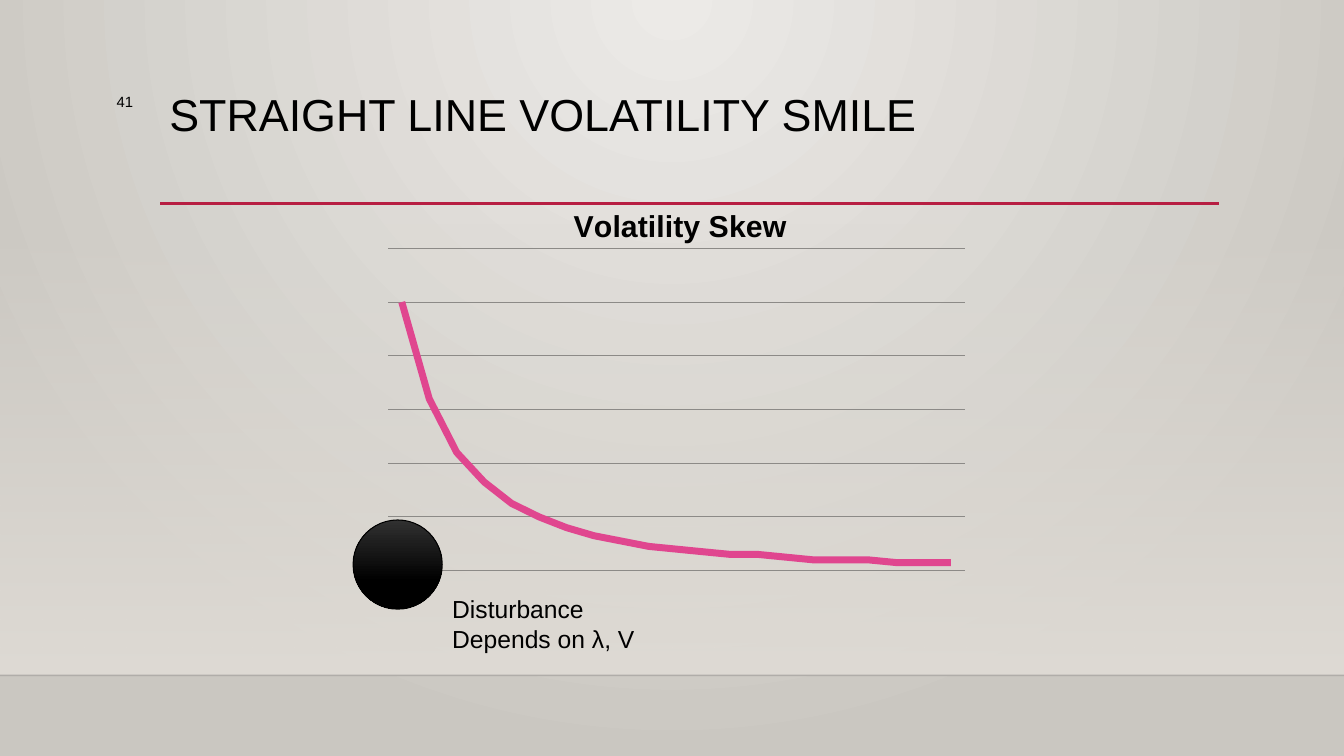
from dataclasses import dataclass

from lxml import etree
from pptx import Presentation
from pptx import util as u
from pptx.chart import data as chart_data
from pptx.dml.color import RGBColor
from pptx.enum import chart as charts, shapes, text
from pptx.oxml import ns, parse_xml

SLIDE_WIDTH, SLIDE_HEIGHT = 960, 540


@dataclass(frozen=True)
class Theme:
    font: str = "Arial"
    ink: str = "000000"
    rule: str = "B71E42"
    curve: str = "E0468F"
    grid: str = "8C8A87"
    floor_line: str = "000001"
    glow: tuple = ((0, "ECEAE7", 100), (100, "CAC7C1", 100))
    wall: tuple = ((0, "DFDBD5", 0), (100, "DFDBD5", 100))
    ball: tuple = ((0, "303030", 100), (69, "000000", 100), (100, "000000", 100))
    title_size: float = 32
    chart_title_size: float = 21.6
    chart_size: float = 18
    label_size: float = 17.6
    number_size: float = 10.6


THEME = Theme()


def points(*lengths):
    return [u.Pt(length) for length in lengths]


def color(value):
    return RGBColor.from_string(value)


def set_gradient(fill, owner, stops, direction):
    """Fill with (position, colour, opacity) stops, all in percent."""
    fill.gradient()
    gradient = owner.find(".//" + ns.qn("a:gradFill"))
    for child in list(gradient):
        gradient.remove(child)
    marks = "".join(
        f'<a:gs pos="{position * 1000}"><a:srgbClr val="{value}">'
        f'<a:alpha val="{opacity * 1000}"/></a:srgbClr></a:gs>'
        for position, value, opacity in stops)
    wrapper = parse_xml(f'<a:gradFill {ns.nsdecls("a")}>'
                        f'<a:gsLst>{marks}</a:gsLst>{direction}</a:gradFill>')
    gradient.extend(list(wrapper))


def add_gradient_shape(page, kind, box, stops):
    shape = page.shapes.add_shape(kind, *points(*box))
    shape.shadow.inherit = False
    set_gradient(shape.fill, shape._element, stops, '<a:lin ang="5400000" scaled="0"/>')
    shape.line.fill.background()
    return shape


def add_rule(page, left, right, top, value, width, opacity=100):
    rule = page.shapes.add_connector(
        shapes.MSO_CONNECTOR.STRAIGHT, *points(left, top, right, top))
    rule.line.color.rgb = color(value)
    rule.line.width = u.Pt(width)
    properties = rule._element.spPr
    etree.SubElement(properties, ns.qn("a:effectLst"))
    if opacity < 100:
        tint = properties.find(".//" + ns.qn("a:srgbClr"))
        etree.SubElement(tint, ns.qn("a:alpha"), val=str(opacity * 1000))


def add_text(page, box, *lines, size, align=text.PP_ALIGN.LEFT, spacing=None,
             wrap=True, insets=(7.2, 3.6)):
    shape = page.shapes.add_textbox(*points(*box))
    frame = shape.text_frame
    frame.word_wrap = wrap
    frame.auto_size = text.MSO_AUTO_SIZE.NONE if wrap else text.MSO_AUTO_SIZE.SHAPE_TO_FIT_TEXT
    frame.margin_left = frame.margin_right = u.Pt(insets[0])
    frame.margin_top = frame.margin_bottom = u.Pt(insets[1])
    for index, line in enumerate(lines):
        para = frame.add_paragraph() if index else frame.paragraphs[0]
        para.alignment = align
        if spacing:
            para.line_spacing = spacing
        span = para.add_run()
        span.text = line
        set_font(span.font, size)


def set_font(font, size, bold=False):
    font.name, font.size, font.bold = THEME.font, u.Pt(size), bold
    font.color.rgb = color(THEME.ink)


def set_layout(parent, before, inner=False, **fractions):
    """Place a chart part by fractions of the chart's box."""
    old = parent.find(ns.qn("c:layout"))
    if old is not None:
        parent.remove(old)
    target = '<c:layoutTarget val="inner"/>' if inner else ""
    modes = '<c:xMode val="edge"/><c:yMode val="edge"/>'
    sizes = "".join(f'<c:{name} val="{value}"/>' for name, value in fractions.items())
    layout = parse_xml(f'<c:layout {ns.nsdecls("c")}><c:manualLayout>'
                       f'{target}{modes}{sizes}</c:manualLayout></c:layout>')
    parent.insert(before, layout)


def draw_backdrop(page, box):
    left, top, width, height = box
    set_gradient(page.background.fill, page._element, THEME.glow,
                 '<a:path path="circle">'
                 '<a:fillToRect l="50000" t="0" r="50000" b="100000"/></a:path>')
    wall_top, floor = top + 159, top + 482.4
    add_gradient_shape(page, shapes.MSO_SHAPE.RECTANGLE,
                       (left, wall_top, width, floor - wall_top), THEME.wall)
    add_rule(page, left, left + width, floor, THEME.floor_line, 1, opacity=20)


def draw_header(page, box, title, number):
    left, top, width, height = box
    add_rule(page, left, left + width, top + height - 0.5, THEME.rule, 2.5)
    add_text(page, (left, top, width, height), title, size=THEME.title_size,
             spacing=0.9, insets=(6.5, 2.9))
    add_text(page, (left - 76.3, top - 0.7, 64, 39.6), number,
             size=THEME.number_size, align=text.PP_ALIGN.RIGHT)


def draw_skew_chart(page, box, title, values):
    source = chart_data.CategoryChartData()
    source.categories = [str(index + 1) for index in range(len(values))]
    source.add_series("Series 1", values)
    chart = page.shapes.add_chart(charts.XL_CHART_TYPE.LINE, *points(*box), source).chart
    set_font(chart.font, THEME.chart_size)
    chart.has_legend = False

    # Title and plot area
    chart.has_title = True
    frame = chart.chart_title.text_frame
    frame.text = title
    set_font(frame.paragraphs[0].runs[0].font, THEME.chart_title_size, bold=True)
    set_layout(chart.chart_title._element, 1, x=0.32, y=0.04)
    plot_area = chart._chartSpace.chart.plotArea
    set_layout(plot_area, 0, inner=True, x=0.02, y=0.16, w=0.96, h=0.82)

    # Axes
    for axis in (chart.category_axis, chart.value_axis):
        axis.tick_label_position = charts.XL_TICK_LABEL_POSITION.NONE
        axis.major_tick_mark = axis.minor_tick_mark = charts.XL_TICK_MARK.NONE
    scale = chart.value_axis
    scale.minimum_scale, scale.maximum_scale, scale.major_unit = 0, 120, 20
    scale.format.line.fill.background()
    scale.has_major_gridlines = True
    for line in (scale.major_gridlines.format.line, chart.category_axis.format.line):
        line.color.rgb = color(THEME.grid)
        line.width = u.Pt(0.75)

    # Curve
    chart.plots[0].vary_by_categories = False
    series = chart.plots[0].series[0]
    series.smooth = False
    series.marker.style = charts.XL_MARKER_STYLE.NONE
    series.format.line.color.rgb = color(THEME.curve)
    series.format.line.width = u.Pt(5)


def draw_disturbance(page, box, *lines):
    left, top, width, height = box
    diameter = 63.7
    ball = add_gradient_shape(page, shapes.MSO_SHAPE.OVAL,
                              (left, top, diameter, diameter), THEME.ball)
    ball.line.color.rgb = color(THEME.ink)
    ball.line.width = u.Pt(0.75)
    add_text(page, (left + diameter, top + 49.6, width - diameter, height - 49.6),
             *lines, size=THEME.label_size, wrap=False)


def main():
    deck = Presentation()
    deck.slide_width, deck.slide_height = points(SLIDE_WIDTH, SLIDE_HEIGHT)
    page = deck.slides.add_slide(deck.slide_layouts[6])
    draw_backdrop(page, (0, 0, SLIDE_WIDTH, SLIDE_HEIGHT))
    draw_header(page, (114.5, 63.4, 756.5, 82.6), "STRAIGHT LINE VOLATILITY SMILE", "41")
    draw_skew_chart(page, (268.6, 132.5, 429, 280.8), "Volatility Skew",
                    [100, 64, 44, 33, 25, 20, 16, 13, 11, 9, 8, 7, 6, 6, 5, 4, 4, 4, 3, 3, 3])
    draw_disturbance(page, (252.2, 371.4, 210.5, 100), "Disturbance", "Depends on λ, V")
    deck.save("out.pptx")


if __name__ == "__main__":
    main()
